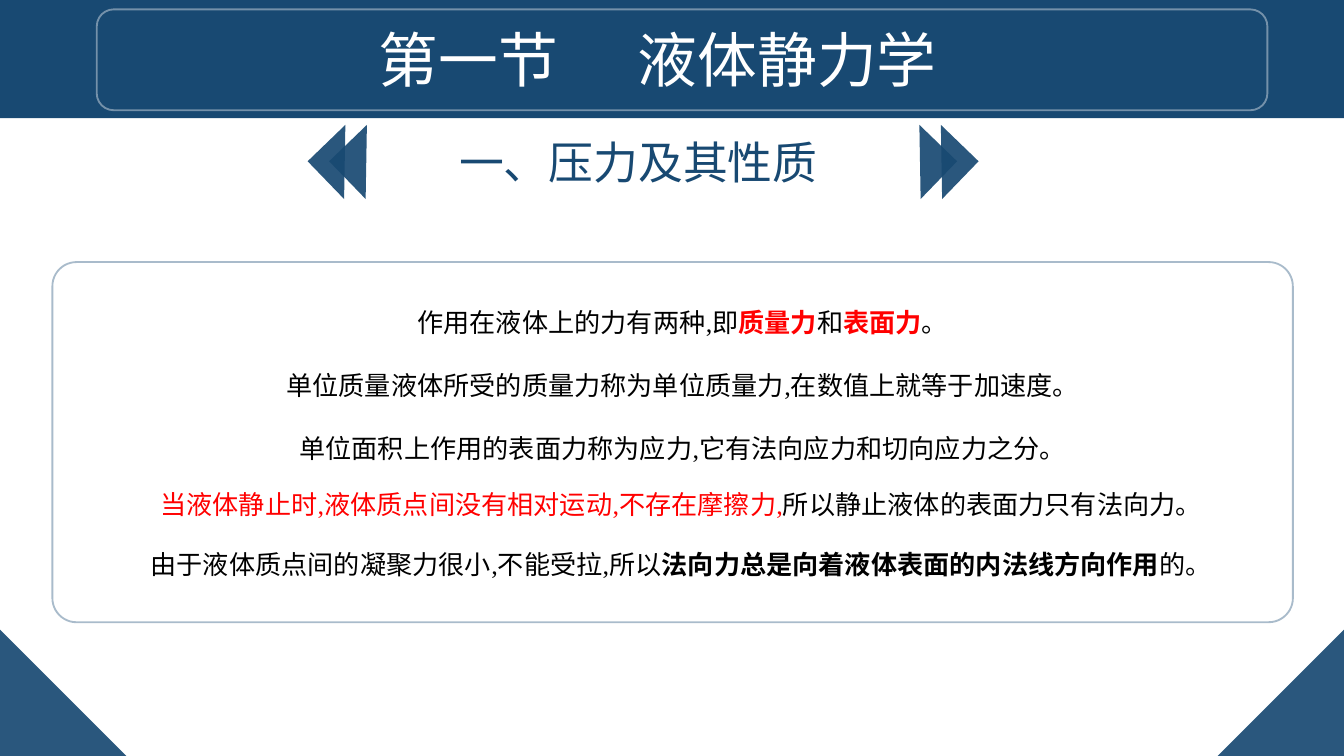
import pptx
import pptx.util
import pptx.dml.color
import pptx.enum.shapes
import pptx.enum.text
import pptx.oxml.ns
from lxml import etree

Inches = pptx.util.Inches
SHAPES = pptx.enum.shapes.MSO_SHAPE
FONT = "Times New Roman"
NAVY, RED, BLACK, WHITE = "184972", "FF0000", "000000", "FFFFFF"

# Content: each paragraph is a list of (text, colour, bold)
TITLE_PARTS = ("第一节", " ", "液体静力学")
SUBTITLE = [[("一、压力及其性质", NAVY, False)]]
FORCES = [
    [("作用在液体上的力有两种,即", BLACK, False), ("质量力", RED, True),
     ("和", BLACK, False), ("表面力", RED, True), ("。", BLACK, False)],
    [("单位质量液体所受的质量力称为单位质量力,在数值上就等于加速度。", BLACK, False)],
    [("单位面积上作用的表面力称为应力,它有法向应力和切向应力之分。", BLACK, False)],
]
STATIC_LIQUID = [[
    ("当液体静止时,液体质点间没有相对运动,不存在摩擦力,", RED, False),
    ("所以静止液体的表面力只有法向力。", BLACK, False)]]
NORMAL_FORCE = [[
    ("由于液体质点间的凝聚力很小,不能受拉,所以", BLACK, False),
    ("法向力总是向着液体表面的内法线方向作用", BLACK, True),
    ("的。", BLACK, False)]]

# Text boxes: paragraphs, (left, top, width, height), size, line spacing, first-line indent
TEXT_BOXES = [
    (FORCES, (0.39, 2, 8.99, 1.44), 14, 2, 0.39),
    (SUBTITLE, (1.63, 0.95, 6.24, 0.5), 24, 1, 0),
    (STATIC_LIQUID, (0.88, 3.35, 8.38, 0.5), 14, 2, 0),
    (NORMAL_FORCE, (0.61, 3.8, 8.92, 0.5), 14, 2, 0),
]

# A 16:9 slide; triangles are (left, top, leg, rotation)
SLIDE_WIDTH = 10
SLIDE_HEIGHT = SLIDE_WIDTH * 9 / 16
CORNER, ARROW, ARROW_TOP, ARROW_STEP = 0.94, 0.39, 1.01, 0.16
TRIANGLES = [
    (0, SLIDE_HEIGHT - CORNER, CORNER, 0),
    (SLIDE_WIDTH - CORNER, SLIDE_HEIGHT - CORNER, CORNER, 270),
] + [
    (start + index * ARROW_STEP, ARROW_TOP, ARROW, rotation)
    for start, rotation in ((2.37, 46), (6.65, 224))
    for index in range(2)
]


def rgb(color):
    return pptx.dml.color.RGBColor.from_string(color)


def paint(fill, color, opacity, parent):
    """Fill with a colour, or leave empty; parent is the XML element of the fill."""
    if color is None:
        fill.background()
        return
    fill.solid()
    fill.fore_color.rgb = rgb(color)
    if opacity < 100:
        srgb = parent.find(pptx.oxml.ns.qn("a:solidFill"))[0]
        alpha = etree.SubElement(srgb, pptx.oxml.ns.qn("a:alpha"))
        alpha.set("val", str(opacity * 1000))


def add_shape(slide, kind, box, fill=None, line=None, opacity=100, rotation=0):
    shape = slide.shapes.add_shape(kind, *map(Inches, box))
    shape.shadow.inherit = False
    shape.rotation = rotation
    properties = shape._element.spPr
    paint(shape.fill, fill, opacity, properties)
    paint(shape.line.fill, line, opacity, properties.get_or_add_ln())
    if line:
        shape.line.width = pptx.util.Pt(1)
    return shape


def format_frame(frame):
    frame.word_wrap = True
    frame.vertical_anchor = pptx.enum.text.MSO_ANCHOR.TOP
    frame.auto_size = pptx.enum.text.MSO_AUTO_SIZE.SHAPE_TO_FIT_TEXT


def format_paragraph(paragraph, size, spacing=1):
    paragraph.alignment = pptx.enum.text.PP_ALIGN.CENTER
    paragraph.line_spacing = spacing
    paragraph.font.name = FONT
    paragraph.font.size = pptx.util.Pt(size)


def add_text(slide, paragraphs, box, size, spacing, indent):
    frame = slide.shapes.add_textbox(*map(Inches, box)).text_frame
    format_frame(frame)
    for index, runs in enumerate(paragraphs):
        paragraph = frame.add_paragraph() if index else frame.paragraphs[0]
        format_paragraph(paragraph, size, spacing)
        if indent:
            paragraph._p.get_or_add_pPr().set("indent", str(Inches(indent)))
        for text, color, bold in runs:
            run = paragraph.add_run()
            run.text = text
            run.font.bold = bold
            run.font.color.rgb = rgb(color)


def set_title(slide):
    title = slide.shapes.title
    title.left, title.top, title.width, title.height = map(Inches, (0.72, 0.12, 8.35, 0.64))
    format_frame(title.text_frame)
    paragraph = title.text_frame.paragraphs[0]
    format_paragraph(paragraph, 32)
    paragraph.font.color.rgb = rgb(WHITE)
    # One widely tracked space separates the section number from its name
    for text in TITLE_PARTS:
        run = paragraph.add_run()
        run.text = text
        if text == " ":
            run.font._element.set("spc", "3550")
    # Bring the title in front of the band
    slide.shapes._spTree.append(title._element)


def main():
    presentation = pptx.Presentation()
    presentation.slide_width = Inches(SLIDE_WIDTH)
    presentation.slide_height = Inches(SLIDE_HEIGHT)
    slide = presentation.slides.add_slide(presentation.slide_layouts[5])

    # Header band and title
    add_shape(slide, SHAPES.RECTANGLE, (0, 0, SLIDE_WIDTH, 0.88), fill=NAVY)
    add_shape(slide, SHAPES.ROUNDED_RECTANGLE, (0.72, 0.07, 8.71, 0.75),
              line=WHITE, opacity=40)
    set_title(slide)

    # Corner and arrow triangles
    for left, top, leg, rotation in TRIANGLES:
        add_shape(slide, SHAPES.RIGHT_TRIANGLE, (left, top, leg, leg),
                  fill=NAVY, opacity=92, rotation=rotation)

    # Subtitle and body text inside a rounded frame
    for text_box in TEXT_BOXES:
        add_text(slide, *text_box)
    body_frame = add_shape(slide, SHAPES.ROUNDED_RECTANGLE, (0.39, 1.95, 9.23, 2.68),
                           line=NAVY, opacity=36)
    body_frame.adjustments[0] = 0.067

    presentation.save("out.pptx")


if __name__ == "__main__":
    main()
